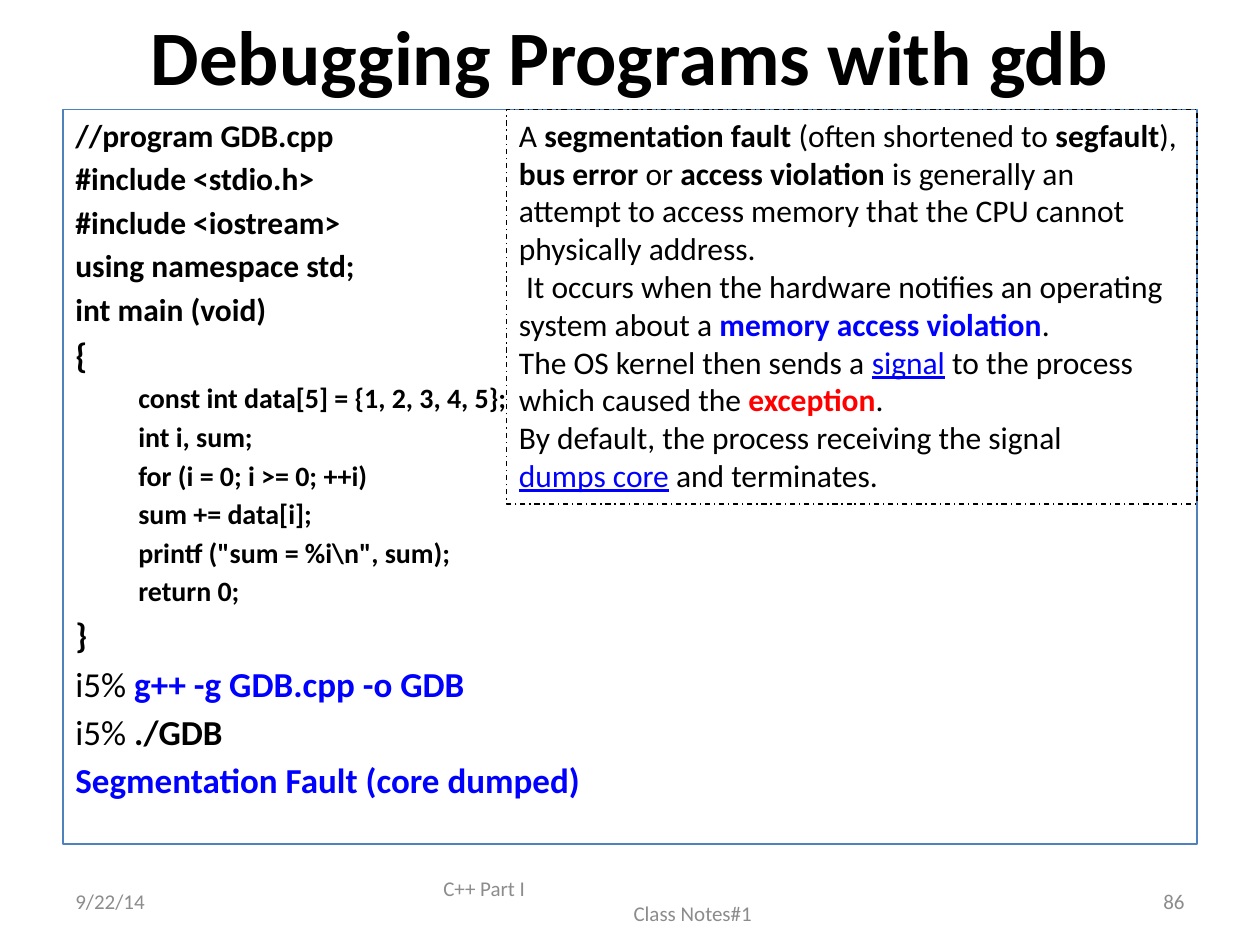
from dataclasses import dataclass

from pptx import Presentation
from pptx import util as u
from pptx.dml.color import RGBColor
from pptx.enum import dml, text
from pptx.util import Inches


@dataclass(frozen=True)
class Theme:
    font: str = "Calibri"
    black: str = "000000"
    blue: str = "0000FF"
    red: str = "FF0000"
    gray: str = "8C8C8C"
    frame: str = "4F81BD"
    title: int = 44
    large: int = 20
    body: int = 18
    inner: int = 16
    foot: int = 12


theme = Theme()
hue = RGBColor.from_string


def add_box(left, top, width, height, anchor=text.MSO_ANCHOR.TOP):
    box = slide.shapes.add_textbox(Inches(left), Inches(top), Inches(width), Inches(height))
    box.text_frame.word_wrap = True
    box.text_frame.vertical_anchor = anchor
    return box


def write(para, parts, size, color=theme.black):
    """Fill a paragraph from (words, marks) pairs: b bold, u underlined, B blue, R red."""
    for words, marks in parts:
        run = para.add_run()
        run.text = words
        font = run.font
        font.name, font.size = theme.font, u.Pt(size)
        font.bold, font.underline = "b" in marks, "u" in marks
        tone = theme.blue if "B" in marks else theme.red if "R" in marks else color
        font.color.rgb = hue(tone)


prs = Presentation()
prs.slide_width, prs.slide_height = Inches(10), Inches(7.5)
slide = prs.slides.add_slide(prs.slide_layouts[6])

# Title
head = add_box(0.5, 0, 9, 0.87, text.MSO_ANCHOR.MIDDLE).text_frame.paragraphs[0]
head.alignment = text.PP_ALIGN.CENTER
write(head, [("Debugging Programs with gdb", "b")], theme.title)

# Code listing and shell session: size, level, runs
outer = ["//program GDB.cpp", "#include <stdio.h>", "#include <iostream>",
         "using namespace std;", "int main (void)"]
inner = ["const int data[5] = {1, 2, 3, 4, 5};", "int i, sum;", "for (i = 0; i >= 0; ++i)",
         "sum += data[i];", r'printf ("sum = %i\n", sum);', "return 0;"]
shell = [[("i5% ", ""), ("g++ -g GDB.cpp -o GDB", "bB")],
         [("i5% ", ""), ("./GDB", "b")],
         [("Segmentation Fault (core dumped)", "bB")]]
lines = [(theme.body, 0, [(line, "b")]) for line in outer]
lines.append((theme.large, 0, [("{", "b")]))
lines += [(theme.inner, 1, [(line, "b")]) for line in inner]
lines.append((theme.large, 0, [("}", "b")]))
lines += [(theme.large, 0, parts) for parts in shell]

code = add_box(0.5, 0.87, 9, 5.83)
code.line.color.rgb = hue(theme.frame)
code.line.width = u.Pt(0.75)
indents = [(0.38, -0.38), (0.81, -0.31)]
for i, (size, level, parts) in enumerate(lines):
    para = code.text_frame.add_paragraph() if i else code.text_frame.paragraphs[0]
    margin, hang = indents[level]
    props = para._p.get_or_add_pPr()
    props.set("marL", str(Inches(margin)))
    props.set("indent", str(Inches(hang)))
    para.level = level
    if i:
        para.space_before = u.Pt(0.18 * size)
    write(para, parts, size)

# Footer: left, width, alignment, (words, indent) lines
feet = [
    (0.5, 2.33, text.PP_ALIGN.LEFT, [("9/22/14", 0)]),
    (3.42, 3.17, text.PP_ALIGN.LEFT, [("C++ Part I", 0), ("Class Notes#1", 1.51)]),
    (7.17, 2.33, text.PP_ALIGN.RIGHT, [("86", 0)]),
]
for left, width, align, rows in feet:
    frame = add_box(left, 6.95, width, 0.4, text.MSO_ANCHOR.MIDDLE).text_frame
    for i, (words, indent) in enumerate(rows):
        para = frame.add_paragraph() if i else frame.paragraphs[0]
        para.alignment = align
        para._p.get_or_add_pPr().set("marL", str(Inches(indent)))
        write(para, [(words, "")], theme.foot, theme.gray)

# Explanation of the fault
facts = [
    [("A ", ""), ("segmentation fault", "b"), (" (often shortened to ", ""),
     ("segfault", "b"), ("),", "")],
    [("bus error", "b"), (" or ", ""), ("access violation", "b"), (" is generally an", "")],
    [("attempt to access memory that the CPU cannot", "")],
    [("physically address.", "")],
    [(" It occurs when the hardware notifies an operating", "")],
    [("system about a ", ""), ("memory access violation", "bB"), (".", "")],
    [("The OS kernel then sends a ", ""), ("signal", "uB"), (" to the process", "")],
    [("which caused the ", ""), ("exception", "bR"), (".", "")],
    [("By default, the process receiving the signal", "")],
    [("dumps core", "uB"), (" and terminates.", "")],
]
note = add_box(4.02, 0.87, 5.48, 3.13)
note.line.color.rgb = hue(theme.black)
note.line.width = u.Pt(0.75)
note.line.dash_style = dml.MSO_LINE.DASH_DOT
note.text_frame.word_wrap = False
note.text_frame.auto_size = text.MSO_AUTO_SIZE.SHAPE_TO_FIT_TEXT
for i, parts in enumerate(facts):
    para = note.text_frame.add_paragraph() if i else note.text_frame.paragraphs[0]
    write(para, parts, theme.body)

prs.save("out.pptx")
